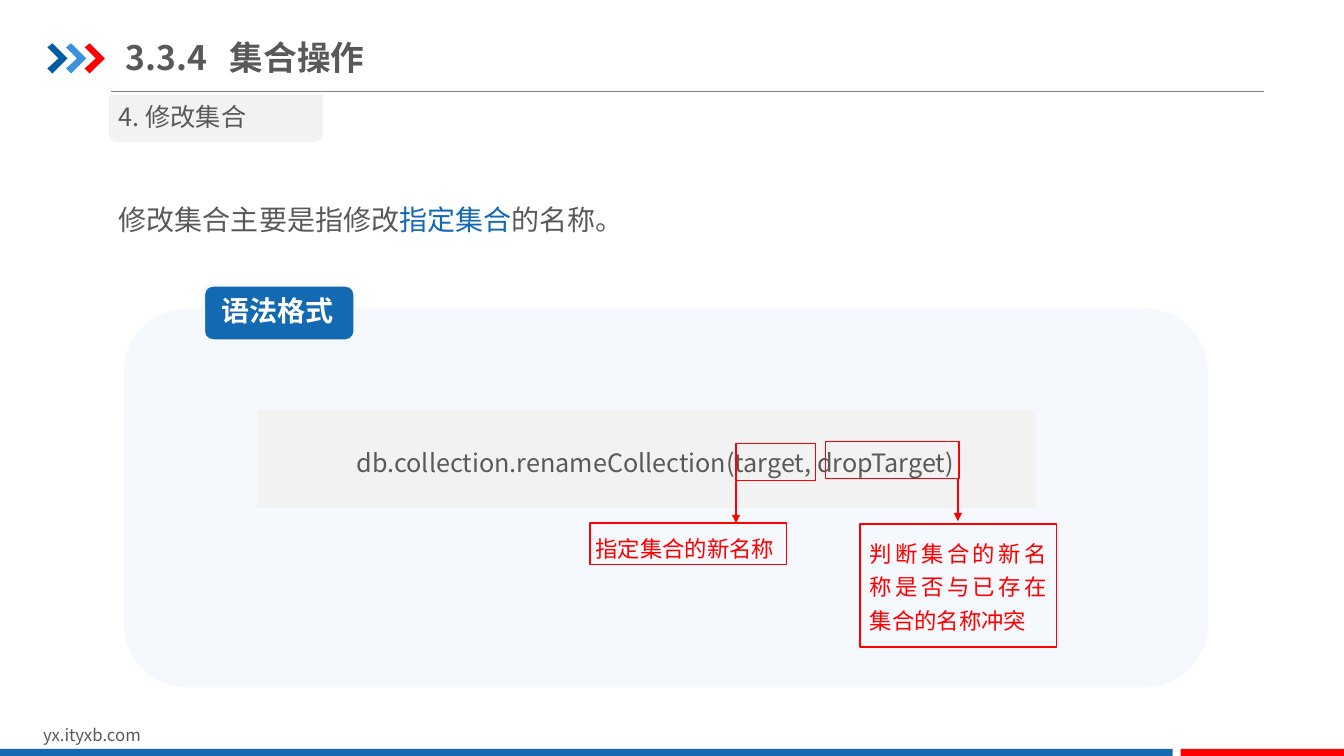
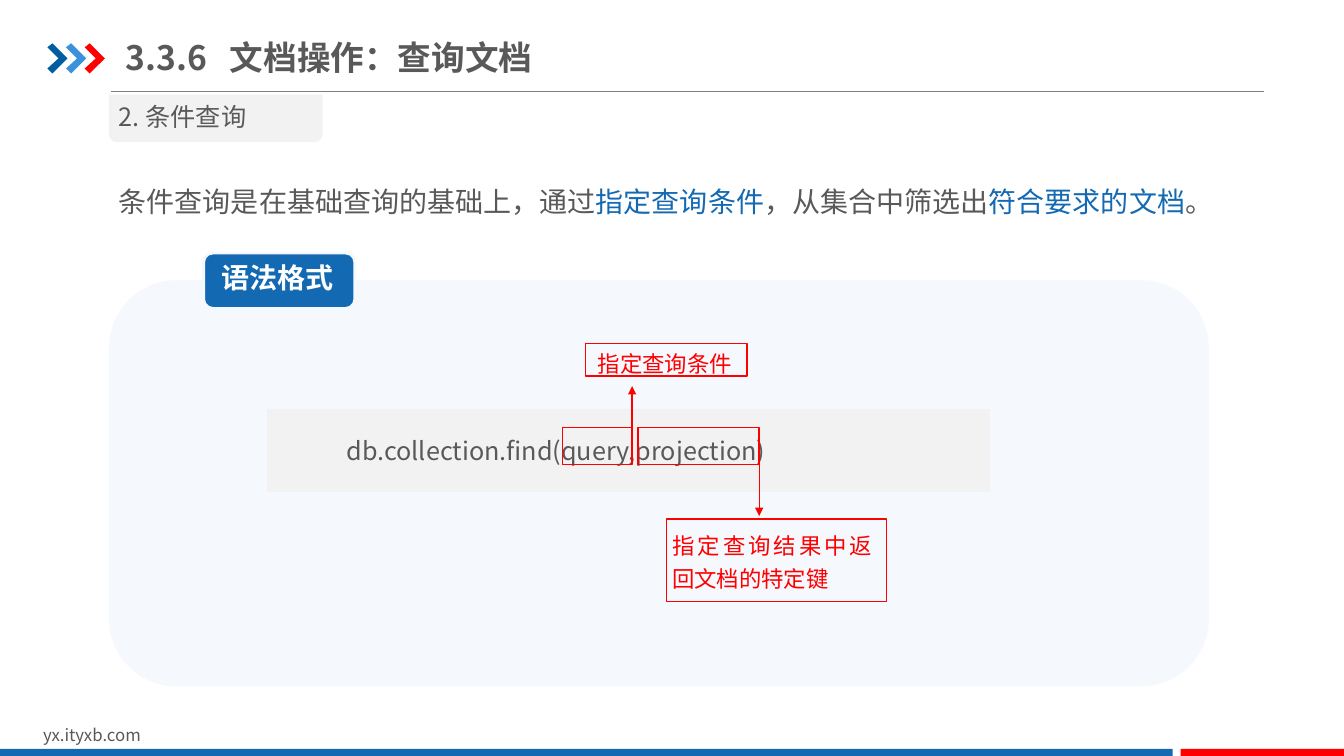
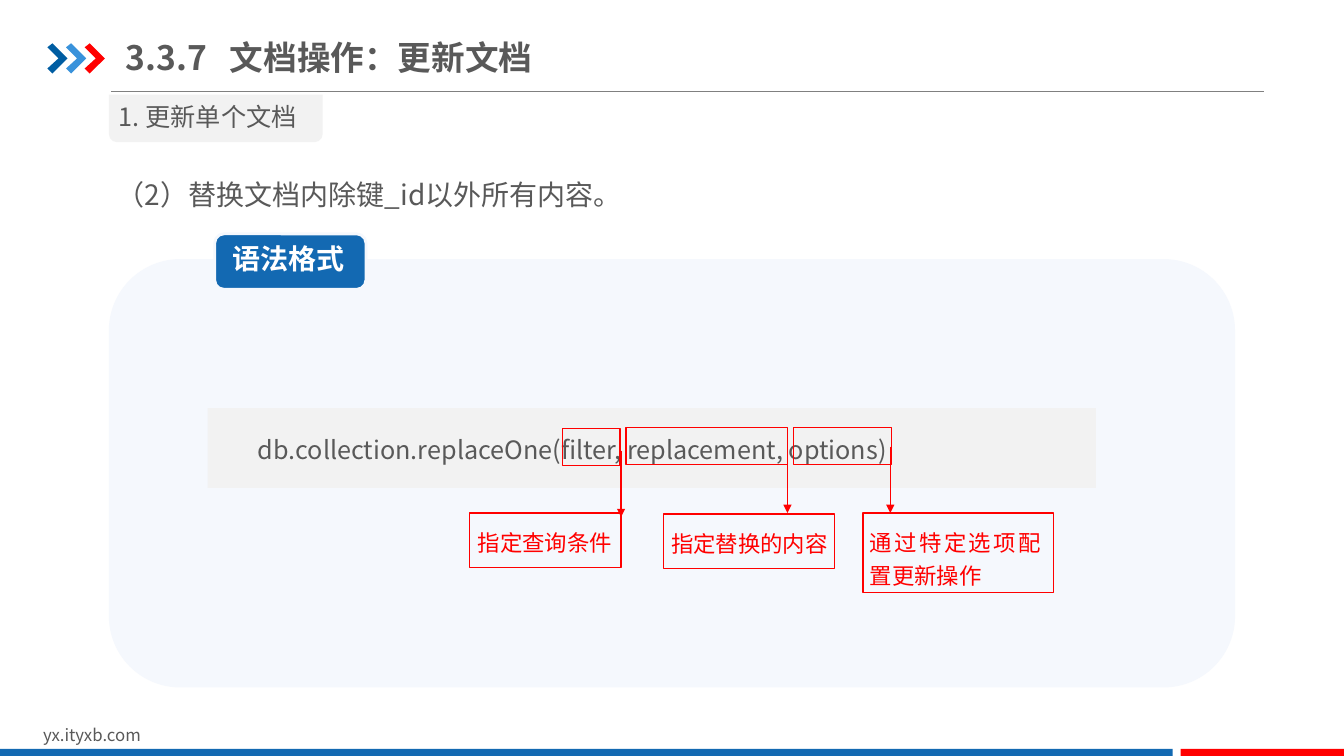
from lxml.etree import SubElement
from pptx import Presentation
from pptx.dml.color import RGBColor
from pptx.enum.shapes import MSO_CONNECTOR, MSO_SHAPE
from pptx.enum.text import MSO_ANCHOR, MSO_AUTO_SIZE, PP_ALIGN
from pptx.oxml.ns import qn
from pptx.util import Inches, Pt

FONT = "Noto Sans CJK SC"
GRAY, BLUE, RED, WHITE = "595959", "1369B2", "FF0000", "FFFFFF"
PANEL, LIGHT, RULE = "F5F8FD", "F2F2F2", "808080"
CHEVRONS = ["005DA2", "3992DB", RED]
CHEVRON = [(0, 0.04), (0.05, 0), (0.2, 0.15), (0.05, 0.3), (0, 0.25), (0.11, 0.15)]


def style(sp, fill=None, line=None, width=1):
    sp.shadow.inherit = False
    if fill:
        sp.fill.solid()
        sp.fill.fore_color.rgb = RGBColor.from_string(fill)
    else:
        sp.fill.background()
    if line:
        sp.line.color.rgb = RGBColor.from_string(line)
        sp.line.width = Pt(width)
    else:
        sp.line.fill.background()


def add_text(s, text, box, size=18, color=GRAY, bold=False, spacing=None,
             align=PP_ALIGN.LEFT, title=False):
    tf = s.shapes.add_textbox(*map(Inches, box)).text_frame
    tf.word_wrap = True
    tf.auto_size = MSO_AUTO_SIZE.SHAPE_TO_FIT_TEXT
    p = tf.paragraphs[0]
    p.alignment = align
    if title:
        tf.auto_size = MSO_AUTO_SIZE.NONE
        tf.vertical_anchor = MSO_ANCHOR.MIDDLE
        tf.margin_left = tf.margin_right = 0
        tf.margin_top = tf.margin_bottom = Inches(0.07)
        tabs = SubElement(p._p.get_or_add_pPr(), qn("a:tabLst"))
        SubElement(tabs, qn("a:tab"), pos=str(Inches(1.03)), algn="l")
    if spacing:
        p.line_spacing = spacing
    for i, part in enumerate(text.split("|")):
        r = p.add_run()
        r.text = part
        r.font.size = Pt(size)
        r.font.bold = bold
        r.font.name = FONT
        r.font.color.rgb = RGBColor.from_string(BLUE if i % 2 else color)
        SubElement(r._r.get_or_add_rPr(), qn("a:ea"), typeface=FONT)


slides = [
    {
        "title": "3.3.4\t集合操作",
        "topic": "4. 修改集合",
        "intro": ("修改集合主要是指修改|指定集合|的名称。", (1.08, 1.86, 7.96, 0.5)),
        "panel": (1.23, 3.06, 10.75, 3.76),
        "badge": (2.02, 2.83),
        "band": (2.55, 4.07, 7.72, 0.97),
        "code": ("db.collection.renameCollection(target, dropTarget)", (3.44, 4.33, 6.93, 0.43)),
        "frames": [(7.3, 4.4, 0.79, 0.37), (8.19, 4.38, 1.32, 0.37),
                   (5.85, 5.19, 1.95, 0.41), (8.53, 5.2, 1.95, 1.22)],
        "arrows": [(7.3, 4.77, 5.19), (9.5, 4.75, 5.17)],
        "labels": [("指定集合的新名称", (5.81, 5.19, 2.1, 0.41)),
                   ("判断集合的新名称是否与已存在集合的名称冲突", (8.53, 5.24, 1.95, 1.08))],
    },
    {
        "title": "3.3.6\t文档操作：查询文档",
        "topic": "2. 条件查询",
        "intro": ("条件查询是在基础查询的基础上，通过|指定查询条件|，从集合中筛选出|符合要求的文档|。",
                  (1.08, 1.68, 11.42, 0.5)),
        "panel": (1.08, 2.78, 10.91, 4.03),
        "badge": (2.02, 2.51),
        "band": (2.65, 4.06, 7.17, 0.82),
        "code": ("db.collection.find(query,projection)", (3.34, 4.21, 4.44, 0.43)),
        "frames": [(5.58, 4.24, 0.69, 0.37), (6.33, 4.24, 1.2, 0.37),
                   (5.81, 3.41, 1.6, 0.32), (6.61, 5.15, 2.18, 0.82)],
        "arrows": [(6.27, 4.6, 3.83), (7.53, 4.53, 5.12)],
        "labels": [("指定查询条件", (5.83, 3.36, 1.65, 0.41)),
                   ("指定查询结果中返回文档的特定键", (6.57, 5.16, 2.18, 0.74))],
    },
    {
        "title": "3.3.7\t文档操作：更新文档",
        "topic": "1. 更新单个文档",
        "intro": ("（2）替换文档内除键_id以外所有内容。", (1.06, 1.61, 6.24, 0.5)),
        "panel": (1.08, 2.57, 11.17, 4.25),
        "badge": (2.13, 2.32),
        "band": (2.06, 4.05, 8.81, 0.79),
        "code": ("db.collection.replaceOne(filter, replacement, options)", (2.46, 4.2, 6.59, 0.43)),
        "frames": [(5.58, 4.25, 0.57, 0.37), (6.21, 4.24, 1.6, 0.37), (7.87, 4.24, 0.97, 0.37),
                   (4.66, 5.09, 1.5, 0.54), (6.58, 5.1, 1.7, 0.54), (8.56, 5.09, 1.89, 0.79)],
        "arrows": [(6.16, 4.47, 5.13), (7.81, 4.43, 5.09), (8.83, 4.43, 5.09)],
        "labels": [("指定查询条件", (4.64, 5.13, 1.89, 0.41)),
                   ("指定替换的内容", (6.56, 5.14, 1.89, 0.41)),
                   ("通过特定选项配置更新操作", (8.53, 5.13, 1.89, 0.74))],
    },
]

prs = Presentation()
prs.slide_width, prs.slide_height = Inches(13.33), Inches(7.5)

for data in slides:
    s = prs.slides.add_slide(prs.slide_layouts[6])

    for i, color in enumerate(CHEVRONS):
        pts = [(Inches(0.47 + 0.185 * i + x), Inches(0.43 + y)) for x, y in CHEVRON]
        builder = s.shapes.build_freeform(*pts[0], scale=1.0)
        builder.add_line_segments(pts[1:], close=True)
        style(builder.convert_to_shape(), color)

    left, top = data["badge"]
    shapes = [
        (MSO_SHAPE.RECTANGLE, (0, 7.43, 11.63, 0.09), BLUE, None, 0),
        (MSO_SHAPE.RECTANGLE, (11.71, 7.43, 1.63, 0.09), RED, None, 0),
        (MSO_SHAPE.ROUND_2_SAME_RECTANGLE, (1.08, 0.94, 2.12, 0.47), LIGHT, None, 180),
        (MSO_SHAPE.ROUNDED_RECTANGLE, data["panel"], PANEL, None, 0),
        (MSO_SHAPE.RECTANGLE, data["band"], LIGHT, None, 0),
        (MSO_SHAPE.ROUNDED_RECTANGLE, (left, top, 1.5, 0.55), BLUE, PANEL, 0),
    ]
    for kind, box, fill, line, rotation in shapes:
        sp = s.shapes.add_shape(kind, *map(Inches, box))
        style(sp, fill, line, 2)
        sp.rotation = rotation

    add_text(s, "yx.ityxb.com", (0.33, 7.14, 3.18, 0.3), size=12)
    add_text(s, data["title"], (1.25, 0.29, 6.36, 0.55), size=24, bold=True, title=True)
    add_text(s, data["topic"], (1.08, 0.96, 2.27, 0.4))
    add_text(s, *data["intro"], size=20, spacing=1.3, align=PP_ALIGN.JUSTIFY)
    add_text(s, *data["code"], spacing=1.2)
    add_text(s, "语法格式", (left + 0.08, top + 0.03, 1.5, 0.44), size=20, color=WHITE, bold=True)
    for text, box in data["labels"]:
        add_text(s, text, box, size=16, color=RED, spacing=1.25, align=PP_ALIGN.JUSTIFY)

    for box in data["frames"]:
        style(s.shapes.add_shape(MSO_SHAPE.RECTANGLE, *map(Inches, box)), line=RED)

    lines = [((1.1, 0.91, 12.54, 0.91), RULE, 0.75)]
    lines += [((x, start, x, end), RED, 1) for x, start, end in data["arrows"]]
    for ends, color, width in lines:
        sp = s.shapes.add_connector(MSO_CONNECTOR.STRAIGHT, *map(Inches, ends))
        sp.line.color.rgb = RGBColor.from_string(color)
        sp.line.width = Pt(width)
        if color == RED:
            SubElement(sp.line._get_or_add_ln(), qn("a:tailEnd"), type="triangle")
        SubElement(sp._element.spPr, qn("a:effectLst"))

prs.save("out.pptx")
